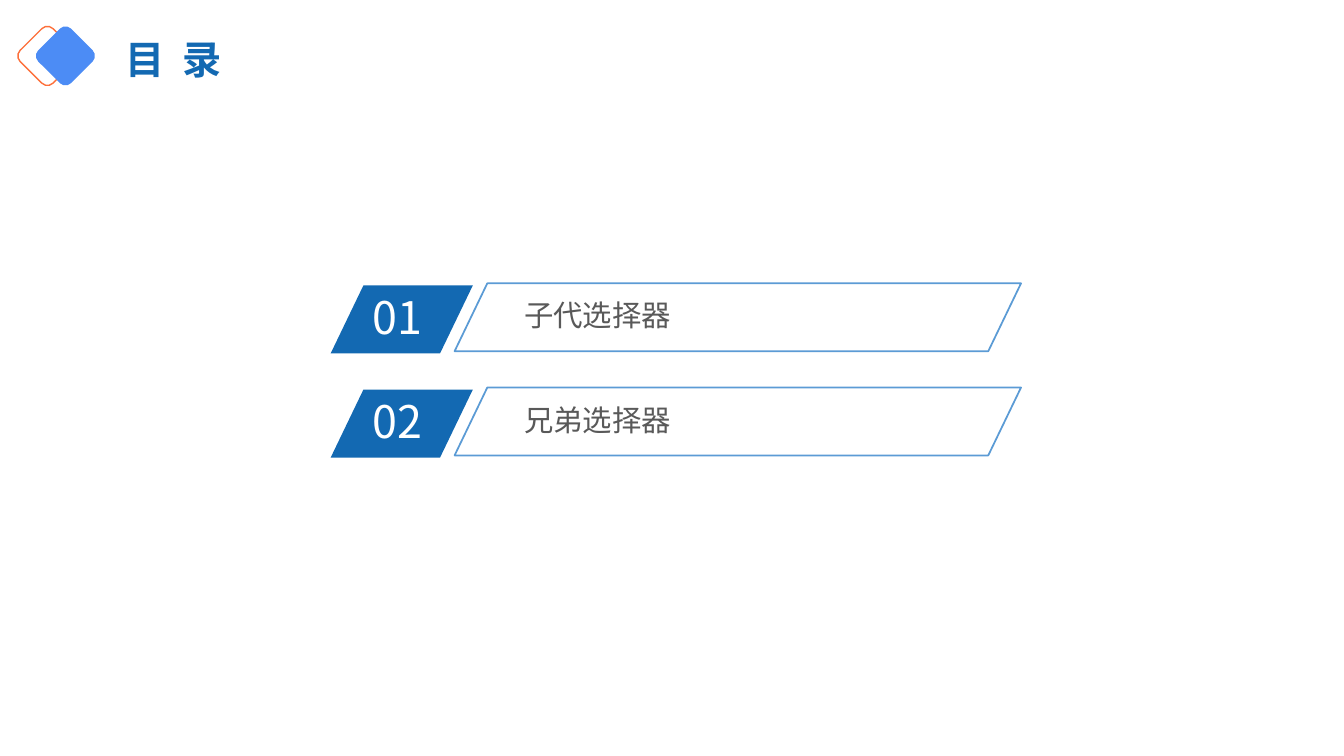
"""Build a contents slide with two numbered entries."""
from lxml import etree
from pptx import Presentation
from pptx.dml.color import RGBColor
from pptx.enum.shapes import MSO_SHAPE
from pptx.oxml.ns import qn
from pptx.util import Pt

PARALLELOGRAM = MSO_SHAPE.PARALLELOGRAM
ROUNDED = MSO_SHAPE.ROUNDED_RECTANGLE

TITLE = "目 录"
ENTRIES = [("01", "子代选择器", "Arial"), ("02", "兄弟选择器", "Noto Sans CJK SC")]
COLOURS = {"navy": "1369B2", "outline": "5B9BD5", "text": "595959",
           "white": "FFFFFF", "orange": "FD703B", "blue": "4C8CF5"}
FONT = "Noto Sans CJK SC"
SLIDE_SIZE = (960, 540)
FIRST_TOP, ROW_PITCH = 202.4, 74.4
SLANT = 0.482
DIAMOND_SIZE = 33.1


def colour(name):
    return RGBColor.from_string(COLOURS[name])


def add_figure(slide, kind, box, fill=None, line=None, width=1, slant=None, rotation=0):
    shape = slide.shapes.add_shape(kind, *map(Pt, box))
    shape.shadow.inherit = False
    shape.rotation = rotation
    if slant:
        shape.adjustments[0] = slant
    if fill:
        shape.fill.solid()
        shape.fill.fore_color.rgb = colour(fill)
    else:
        shape.fill.background()
    if line:
        shape.line.color.rgb = colour(line)
        shape.line.width = Pt(width)
    else:
        shape.line.fill.background()


def add_text(slide, text, box, ink, formats, insets=(7.2, 3.6), line_spacing=None, tracking=0):
    frame = slide.shapes.add_textbox(*map(Pt, box)).text_frame
    frame.word_wrap = True
    frame.margin_left = frame.margin_right = Pt(insets[0])
    frame.margin_top = frame.margin_bottom = Pt(insets[1])
    paragraph = frame.paragraphs[0]
    paragraph.line_spacing = line_spacing
    run = paragraph.add_run()
    run.text = text
    run.font.color.rgb = colour(ink)
    for name, value in formats.items():
        setattr(run.font, name, value)
    properties = run.font._element
    if tracking:
        properties.set("spc", str(tracking * 100))
    east_asian = etree.Element(qn("a:ea"), typeface=FONT)
    properties.find(qn("a:latin")).addnext(east_asian)


def add_entry(slide, top, number, label, label_font):
    add_figure(slide, PARALLELOGRAM, (236.2, top + 1.5, 101.5, 48.5),
               fill="navy", slant=SLANT)
    add_text(slide, number, (259.2, top + 0.7, 80.6, 46), "white",
             {"size": Pt(32), "name": FONT})
    add_text(slide, label, (369.4, top + 7.2, 337.7, 31), "text",
             {"size": Pt(21), "name": label_font}, insets=(5, 2.9))
    add_figure(slide, PARALLELOGRAM, (324.7, top, 404.6, 48.5),
               line="outline", width=1.25, slant=SLANT)


def main():
    presentation = Presentation()
    presentation.slide_width, presentation.slide_height = map(Pt, SLIDE_SIZE)
    slide = presentation.slides.add_slide(presentation.slide_layouts[6])
    for index, entry in enumerate(ENTRIES):
        add_entry(slide, FIRST_TOP + index * ROW_PITCH, *entry)
    for left, style in ((17.3, {"line": "orange"}), (30.2, {"fill": "blue"})):
        add_figure(slide, ROUNDED, (left, 23.4, DIAMOND_SIZE, DIAMOND_SIZE),
                   rotation=45, **style)
    add_text(slide, TITLE, (82.8, 25.2, 319.7, 37.4), "navy",
             {"size": Pt(28), "bold": True, "name": FONT},
             line_spacing=0.9, tracking=3)
    presentation.save("out.pptx")


if __name__ == "__main__":
    main()
